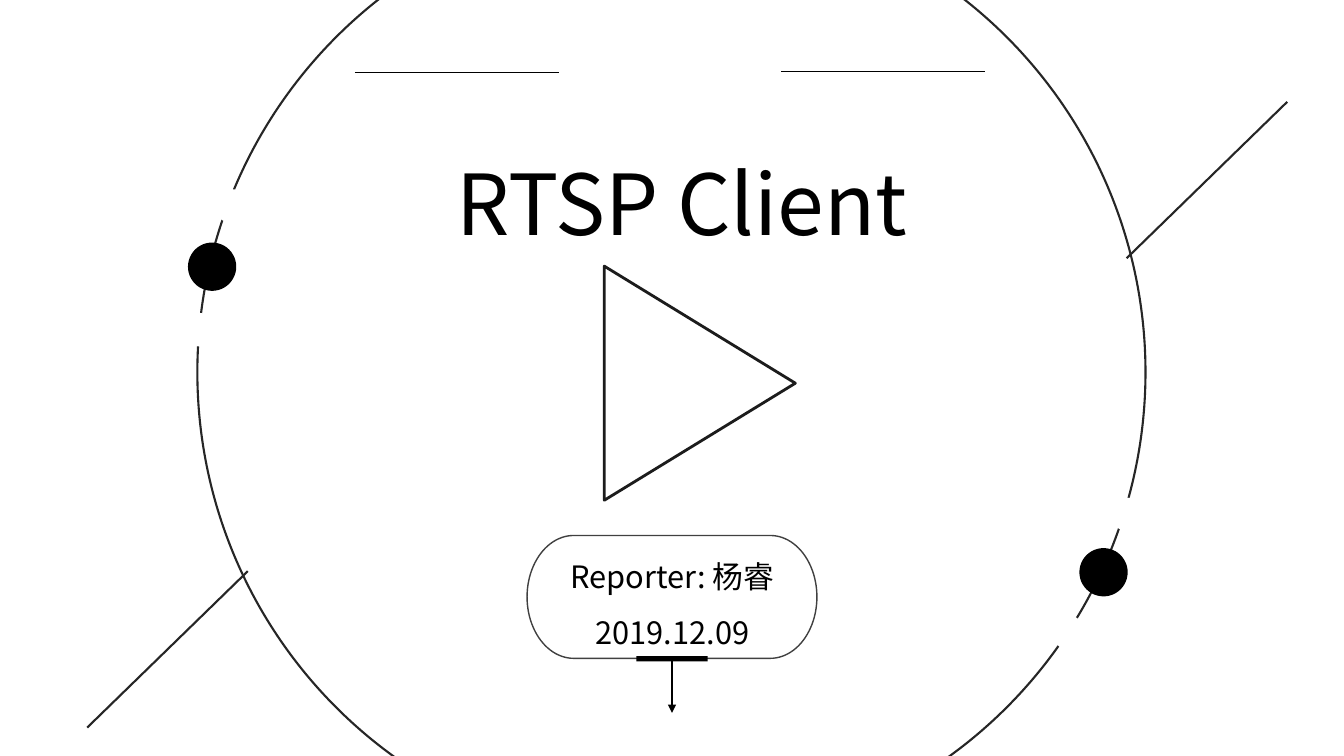
from pptx import Presentation
from pptx.dml.color import RGBColor
from pptx.enum.shapes import MSO_CONNECTOR as Connector, MSO_SHAPE as Shape
from pptx.enum.text import MSO_AUTO_SIZE as AutoSize, PP_ALIGN as Align
from pptx.oxml.ns import qn
from pptx.util import Pt
from lxml.etree import SubElement

PX = 9525
FONT = "Noto Sans CJK SC"
BLACK, WHITE, CHARCOAL, GREY, INK = "000000", "FFFFFF", "262626", "404040", "1C1C1C"


def px(*lengths):
    return [round(length * PX) for length in lengths]


def color(value):
    return RGBColor.from_string(value)


def apply(target, formats):
    for name, value in formats.items():
        setattr(target, name, value)


def set_line(line, value, width):
    line.color.rgb = color(value)
    line.width = Pt(width)


def add_outline(slide, kind, box, fill=None, line=None):
    shape = slide.shapes.add_shape(kind, *px(*box))
    shape.shadow.inherit = False
    if fill:
        shape.fill.solid()
        shape.fill.fore_color.rgb = color(fill)
    else:
        shape.fill.background()
    if line:
        set_line(shape.line, *line)
    else:
        shape.line.fill.background()
    return shape


def add_line(slide, ends, value, width):
    connector = slide.shapes.add_connector(Connector.STRAIGHT, *px(*ends))
    set_line(connector.line, value, width)
    SubElement(connector._element.spPr, qn("a:effectLst"))
    return connector


def add_text(slide, box, lines, size, spacing=None):
    text_box = slide.shapes.add_textbox(*px(*box))
    frame = text_box.text_frame
    apply(frame, {"word_wrap": True, "auto_size": AutoSize.SHAPE_TO_FIT_TEXT})
    frame.text = "\n".join(lines)
    for paragraph in frame.paragraphs:
        apply(paragraph, {"alignment": Align.CENTER, "line_spacing": spacing})
        for run in paragraph.runs:
            apply(run.font, {"size": Pt(size), "name": FONT})
            run.font.color.rgb = color(BLACK)
            SubElement(run.font._element, qn("a:ea")).set("typeface", FONT)


def add_orbit_node(slide, box, gap_offsets):
    left, top, size = box
    gap_size = 32
    add_outline(slide, Shape.OVAL, (left, top, size, size), BLACK)
    for across, down in gap_offsets:
        gap = (left + across, top + down, gap_size, gap_size)
        add_outline(slide, Shape.OVAL, gap, WHITE)


def add_orbit(slide, box):
    left, top, size = box
    add_outline(slide, Shape.OVAL, (left, top, size, size), line=(CHARCOAL, 1.5))
    add_orbit_node(slide, (left - 9, top + 328, 46), [(-5, 67), (25, -51)])
    add_orbit_node(slide, (left + 840, top + 619, 46), [(-27, 64), (30, -48)])


def add_rules(slide, box):
    left, top, width = box
    length = 194
    for start, y in ((left, top + 1), (left + width - length, top)):
        add_line(slide, (start, y, start + length, y), BLACK, 0.5)


def add_diagonals(slide, box):
    left, top, width, height = box
    across, down = 153, 149
    right, bottom = left + width, top + height
    for start, y in ((right - across, top + down), (left, bottom)):
        add_line(slide, (start, y, start + across, y - down), CHARCOAL, 1.5)


def add_reporter_badge(slide, box):
    left, top, width, height = box
    center, bar_width, bar_height = left + width // 2, 68, 5
    add_outline(slide, Shape.FLOWCHART_TERMINATOR, box, line=(GREY, 1))
    add_text(slide, (left + 10, top - 1, width - 19, height - 1),
             ["Reporter: 杨睿", "2019.12.09"], 22, 1.5)
    bar_top = top + height - 2
    bar = add_outline(slide, Shape.RECTANGLE,
                      (center - bar_width // 2, bar_top, bar_width, bar_height), BLACK)
    arrow_top = bar_top + bar_height
    arrow = add_line(slide, (center, arrow_top, center, arrow_top + 49), BLACK, 1)
    arrow.begin_connect(bar, 2)
    SubElement(arrow.line._get_or_add_ln(), qn("a:tailEnd")).set("type", "triangle")


def add_play_symbol(slide, box):
    triangle = add_outline(slide, Shape.ISOSCELES_TRIANGLE, box, WHITE, (INK, 2))
    triangle.rotation = 90


def add_cover(presentation):
    slide = presentation.slides.add_slide(presentation.slide_layouts[6])
    add_text(slide, (158, 140, 983, 107), ["RTSP Client"], 60)
    add_orbit(slide, (188, -97, 903))
    add_rules(slide, (338, 68, 600))
    add_reporter_badge(slide, (502, 510, 276, 117))
    add_diagonals(slide, (83, 97, 1143, 596))
    add_play_symbol(slide, (555, 274, 223, 182))


def main():
    presentation = Presentation()
    width, height = px(1280, 720)
    apply(presentation, {"slide_width": width, "slide_height": height})
    add_cover(presentation)
    presentation.save("out.pptx")


if __name__ == "__main__":
    main()
